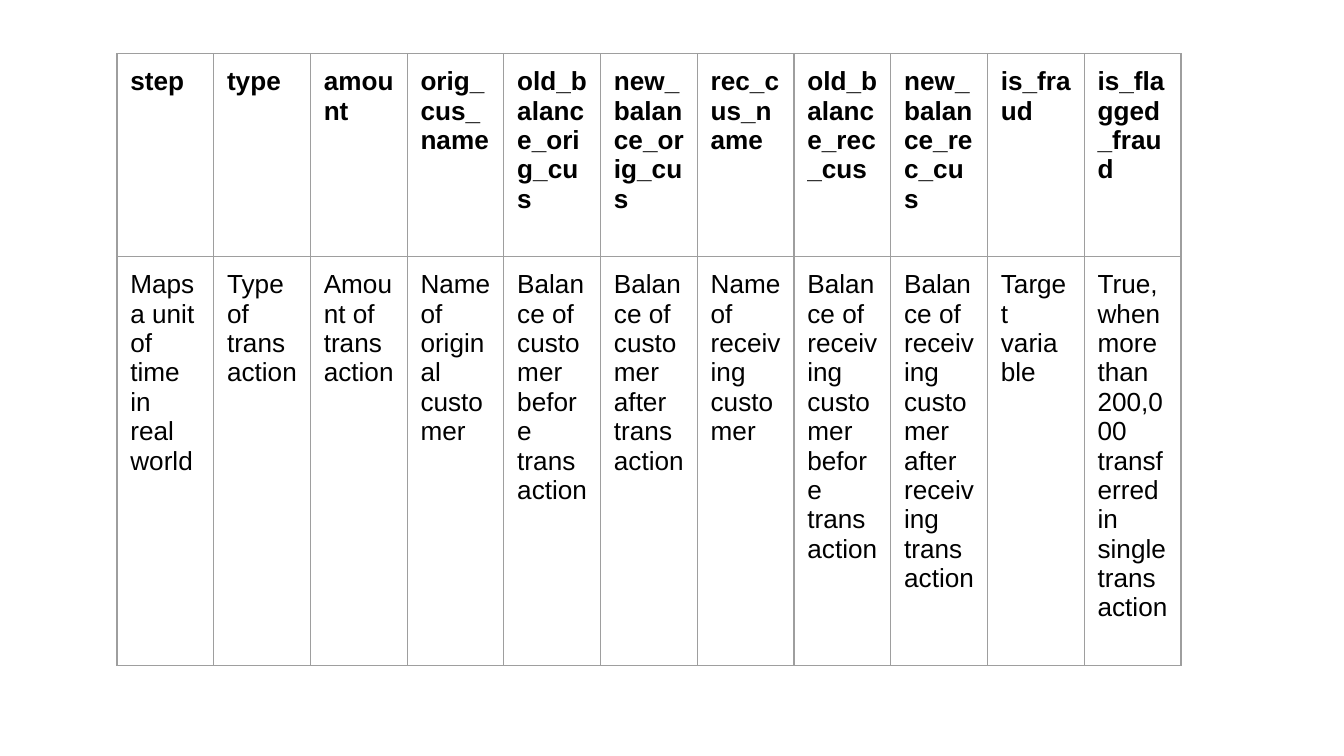
"""Build a slide with a table that explains the columns of a transaction data set."""
from dataclasses import dataclass

from lxml.etree import SubElement
from pptx import Presentation
from pptx.dml.color import RGBColor
from pptx.oxml.ns import qn
from pptx.table import _Cell as Cell
from pptx.util import Emu, Inches, Pt

COLUMN_WIDTH = Inches(0.72)
ROW_HEIGHTS = (Inches(1.51), Inches(3.04))
MARGIN = Emu(91425)
TEXT_COLOR = "000000"
BORDER_COLOR = "9E9E9E"


@dataclass(frozen=True)
class Field:
    name: str
    meaning: str


FIELDS = (
    Field("step", "Maps a unit of time in real world"),
    Field("type", "Type of transaction"),
    Field("amount", "Amount of transaction"),
    Field("orig_cus_name", "Name of original customer"),
    Field("old_balance_orig_cus", "Balance of customer before transaction"),
    Field("new_balance_orig_cus", "Balance of customer after transaction"),
    Field("rec_cus_name", "Name of receiving customer"),
    Field("old_balance_rec_cus", "Balance of receiving customer before transaction"),
    Field("new_balance_rec_cus", "Balance of receiving customer after receiving transaction"),
    Field("is_fraud", "Target variable"),
    Field("is_flagged_fraud", "True, when more than 200,000 transferred in single transaction"),
)


def color(value: str) -> RGBColor:
    return RGBColor.from_string(value)


def add_borders(cell: Cell) -> None:
    properties = cell._tc.get_or_add_tcPr()
    for side in ("a:lnL", "a:lnR", "a:lnT", "a:lnB"):
        line = SubElement(properties, qn(side), w=str(Pt(0.75)))
        fill = SubElement(line, qn("a:solidFill"))
        SubElement(fill, qn("a:srgbClr"), val=BORDER_COLOR)


def fill_cell(cell: Cell, text: str, bold: bool) -> None:
    add_borders(cell)
    cell.fill.background()
    cell.margin_left = cell.margin_right = MARGIN
    cell.margin_top = cell.margin_bottom = MARGIN
    cell.text_frame.text = text
    for span in cell.text_frame.paragraphs[0].runs:
        span.font.name = "Arial"
        span.font.size = Pt(14)
        span.font.bold = bold
        span.font.color.rgb = color(TEXT_COLOR)


def main() -> None:
    deck = Presentation()
    deck.slide_width = Inches(10)
    deck.slide_height = deck.slide_width * 9 // 16
    page = deck.slides.add_slide(deck.slide_layouts[6])
    table = page.shapes.add_table(
        len(ROW_HEIGHTS), len(FIELDS), Inches(0.87), Inches(0.4),
        COLUMN_WIDTH * len(FIELDS), sum(ROW_HEIGHTS),
    ).table
    table.horz_banding = False
    table.first_row = False
    for row, height in zip(table.rows, ROW_HEIGHTS):
        row.height = height
    for index, field in enumerate(FIELDS):
        table.columns[index].width = COLUMN_WIDTH
        fill_cell(table.cell(0, index), field.name, bold=True)
        fill_cell(table.cell(1, index), field.meaning, bold=False)
    deck.save("out.pptx")


if __name__ == "__main__":
    main()
